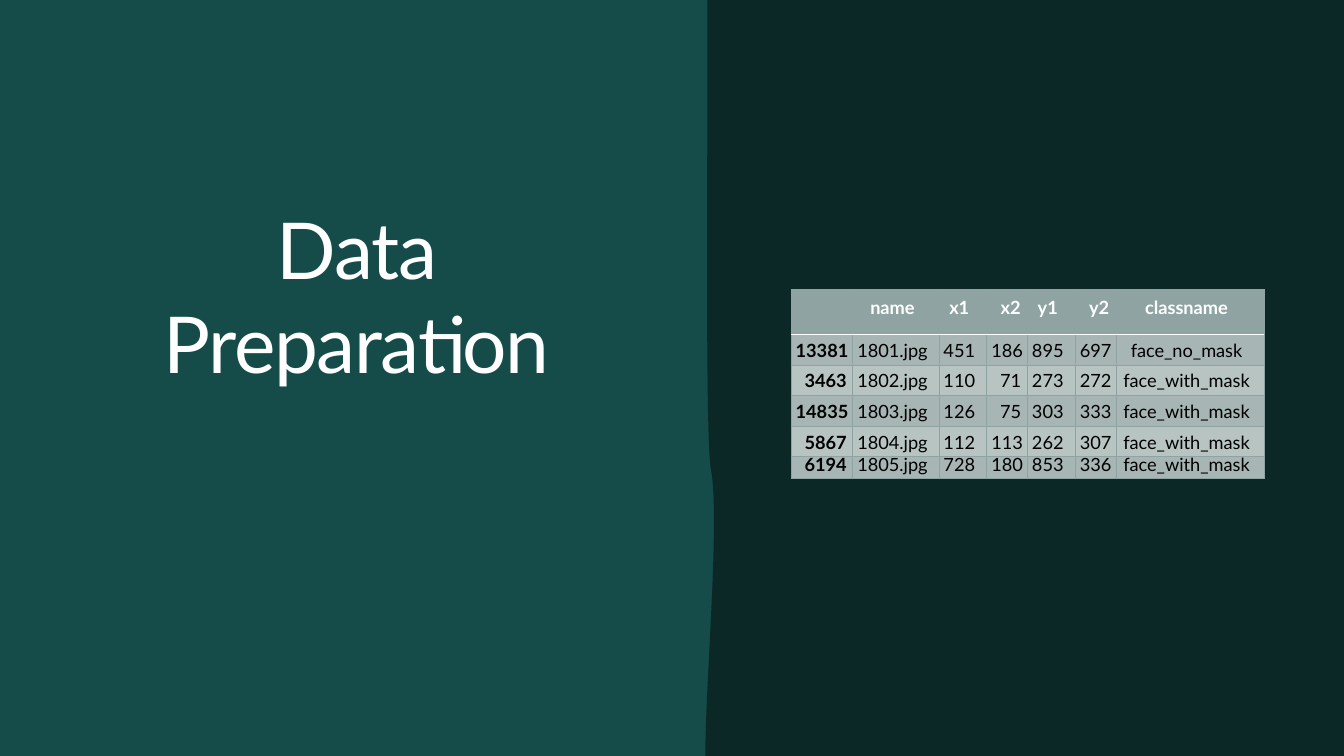
from lxml import etree
from pptx import Presentation
from pptx.dml.color import RGBColor
from pptx.enum.shapes import MSO_SHAPE
from pptx.enum.text import MSO_ANCHOR, PP_ALIGN
from pptx.oxml.ns import qn
from pptx.util import Cm, Pt

RECTANGLE = MSO_SHAPE.RECTANGLE
BOTTOM, TOP = MSO_ANCHOR.BOTTOM, MSO_ANCHOR.TOP
CENTER = PP_ALIGN.CENTER

THEME = {
    "font": "Lato", "title_size": 56, "table_size": 13,
    "dark": "0B2827", "teal": "154C4A", "white": "FFFFFF", "black": "000000",
    "header": "8FA3A3", "odd_row": "A7B5B4", "even_row": "B7C4C2",
}


def color(name):
    return RGBColor.from_string(THEME[name])


def add_border(cell, side, name, points):
    line = etree.SubElement(cell._tc.get_or_add_tcPr(), qn(f"a:ln{side}"), w=str(Pt(points)))
    fill = etree.SubElement(line, qn("a:solidFill"))
    etree.SubElement(fill, qn("a:srgbClr"), val=THEME[name])


presentation = Presentation()
presentation.slide_width, presentation.slide_height = Cm(33.87), Cm(19.05)
slide = presentation.slides.add_slide(presentation.slide_layouts[6])
slide.background.fill.solid()
slide.background.fill.fore_color.rgb = color("dark")

# Teal ground with a dark panel whose left edge is wavy
ground = slide.shapes.add_shape(
    RECTANGLE, 0, 0, presentation.slide_width, presentation.slide_height)

EDGE_CURVES = [
    [(17.78, 18.64), (17.83, 16.59), (18.14, 12.85), (17.91, 11.79)],
    [(17.91, 11.79), (17.78, 10.9), (17.83, 5.08), (17.83, 0.61)],
]
STEPS = 24
edge = []
for curve in EDGE_CURVES:
    for step in range(STEPS + 1):
        t = step / STEPS
        weights = ((1 - t) ** 3, 3 * t * (1 - t) ** 2, 3 * t ** 2 * (1 - t), t ** 3)
        edge.append(tuple(
            Cm(sum(weight * point[axis] for weight, point in zip(weights, curve)))
            for axis in (0, 1)))
corners = [(Cm(33.87), 0), (Cm(33.87), Cm(19.05)), (Cm(17.78), Cm(19.05))]
builder = slide.shapes.build_freeform(Cm(17.83), 0, scale=1.0)
builder.add_line_segments(corners + edge, close=True)
panel = builder.convert_to_shape()

for shape, name in ((ground, "teal"), (panel, "dark")):
    shape.shadow.inherit = False
    shape.fill.solid()
    shape.fill.fore_color.rgb = color(name)
    shape.line.fill.background()

# Title
title = slide.shapes.add_textbox(Cm(2.01), Cm(2.01), Cm(13.94), Cm(7.8))
title_format = {
    "word_wrap": True, "vertical_anchor": BOTTOM,
    "margin_left": Cm(0.5), "margin_right": Cm(0.5), "margin_top": 0, "margin_bottom": 0,
}
for attribute, value in title_format.items():
    setattr(title.text_frame, attribute, value)
paragraph = title.text_frame.paragraphs[0]
paragraph.alignment = CENTER
run = paragraph.add_run()
run.text = "Data Preparation"
run.font.name = THEME["font"]
run.font.size = Pt(THEME["title_size"])
run.font.color.rgb = color("white")
run._r.get_or_add_rPr().set("spc", "-100")

# Table of labelled face boxes
ROWS = [
    ["", "name", "x1", "x2", "y1", "y2", "classname"],
    ["13381", "1801.jpg", "451", "186", "895", "697", "face_no_mask"],
    ["3463", "1802.jpg", "110", "71", "273", "272", "face_with_mask"],
    ["14835", "1803.jpg", "126", "75", "303", "333", "face_with_mask"],
    ["5867", "1804.jpg", "112", "113", "262", "307", "face_with_mask"],
    ["6194", "1805.jpg", "728", "180", "853", "336", "face_with_mask"],
]
WIDTHS = [1.55, 2.18, 1.19, 1.04, 1.19, 1.04, 3.72]
HEIGHTS = [0.82, 0.77, 0.77, 0.77, 0.77, 0.56]
FULL_LENGTH = {0: 5, 3: 3, 5: 3}  # shorter text in these columns is pushed right
INDENT = Cm(0.18)
LAST = len(ROWS) - 1

table = slide.shapes.add_table(
    len(ROWS), len(WIDTHS), Cm(19.94), Cm(7.29), Cm(sum(WIDTHS)), Cm(sum(HEIGHTS))).table
for column, width in zip(table.columns, WIDTHS):
    column.width = Cm(width)
for row, height in zip(table.rows, HEIGHTS):
    row.height = Cm(height)

for row_index, texts in enumerate(ROWS):
    is_header = row_index == 0
    fill_name = "header" if is_header else "odd_row" if row_index % 2 else "even_row"
    for column_index, text in enumerate(texts):
        cell = table.cell(row_index, column_index)
        numeric = column_index in FULL_LENGTH
        short = numeric and len(text) < FULL_LENGTH[column_index]
        cell_format = {
            "margin_left": INDENT if short else 0,
            "margin_right": 0 if numeric else INDENT,
            "margin_top": Cm(0.37 if is_header else 0.13),
            "margin_bottom": 0,
            "vertical_anchor": TOP,
        }
        for attribute, value in cell_format.items():
            setattr(cell, attribute, value)

        for side in "LRTB":
            white = (row_index, side) in ((0, "B"), (1, "T"))
            add_border(cell, side, "white" if white else "header", 1 if white else 0.5)
        cell.fill.solid()
        cell.fill.fore_color.rgb = color(fill_name)

        paragraph = cell.text_frame.paragraphs[0]
        paragraph.alignment = CENTER
        if is_header or row_index == LAST:
            paragraph.line_spacing = Pt(10.5 if is_header else 9.9)
        if text:
            run = paragraph.add_run()
            run.text = text
            run.font.name = THEME["font"]
            run.font.size = Pt(THEME["table_size"])
            run.font.bold = is_header or column_index == 0
            run.font.color.rgb = color("white" if is_header else "black")

presentation.save("out.pptx")
